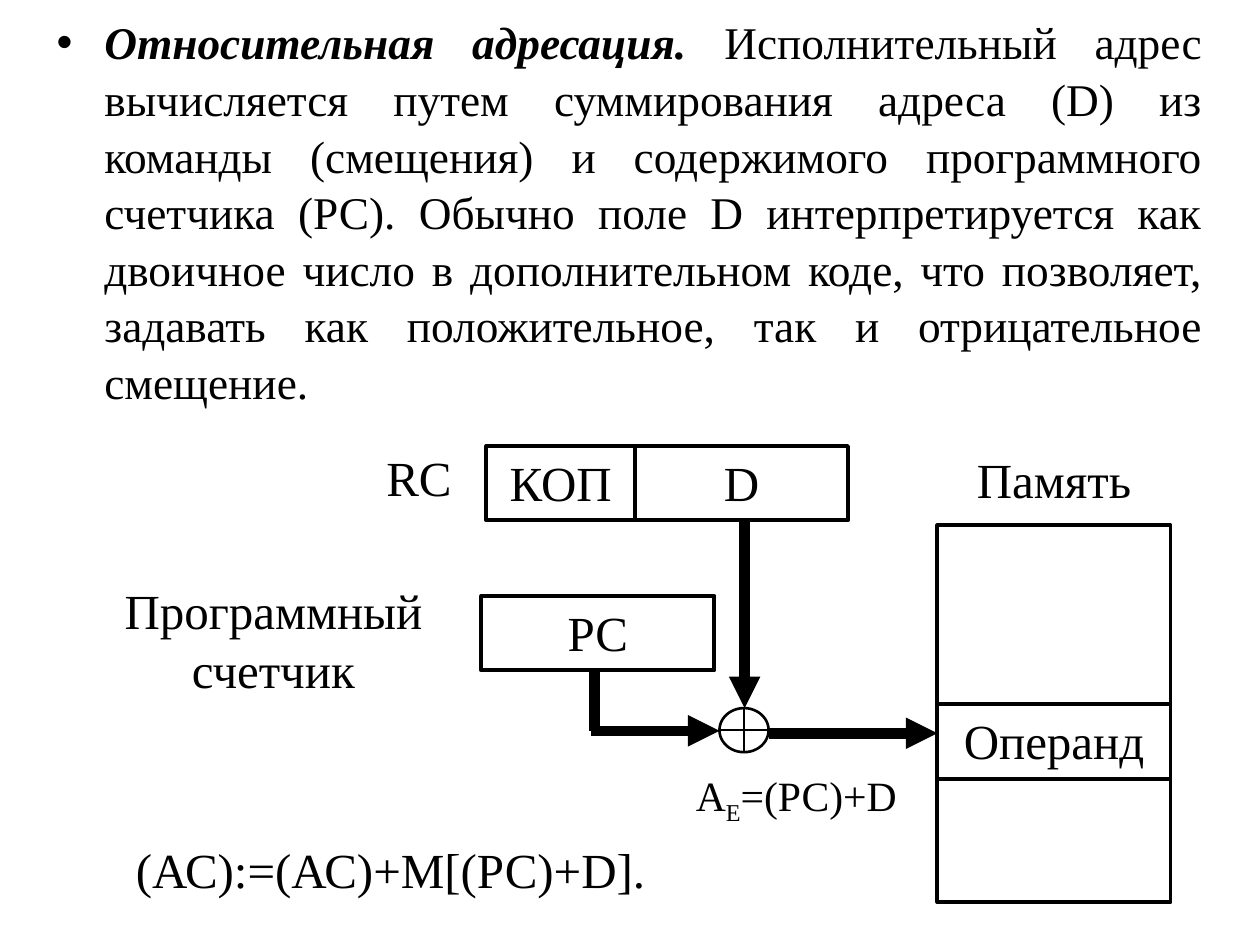
from dataclasses import dataclass

import pptx
import pptx.dml.color
import pptx.enum.shapes
import pptx.enum.text
import pptx.oxml
import pptx.oxml.ns
import pptx.util
from pptx.util import Inches

ALIGN = pptx.enum.text.PP_ALIGN
SHAPE = pptx.enum.shapes.MSO_SHAPE


@dataclass(frozen=True)
class Theme:
    ink: pptx.dml.color.RGBColor = pptx.dml.color.RGBColor(0, 0, 0)
    font: str = "Times New Roman"
    body: float = 25.9
    label: float = 28
    formula: float = 23.8
    border: float = 2.25
    thin: float = 1.5
    arrow: float = 6


THEME = Theme()


def add_xml(parent, tag, **attributes):
    element = pptx.oxml.parse_xml(f"<a:{tag} {pptx.oxml.ns.nsdecls('a')}/>")
    for name, value in attributes.items():
        element.set(name, value)
    parent.append(element)


def write(shape, runs, size, align=ALIGN.CENTER):
    """Fill a shape with one paragraph; return the paragraph and its runs."""
    frame = shape.text_frame
    frame.word_wrap = True
    frame.vertical_anchor = pptx.enum.text.MSO_ANCHOR.TOP
    paragraph = frame.paragraphs[0]
    paragraph.alignment = align
    paragraph.font.name = THEME.font
    paragraph.font.size = pptx.util.Pt(size)
    paragraph.font.color.rgb = THEME.ink
    parts = []
    for text in runs:
        run = paragraph.add_run()
        run.text = text
        parts.append(run)
    return paragraph, parts


def add_label(slide, left, top, width, height, runs, size=THEME.label, align=ALIGN.CENTER):
    shape = slide.shapes.add_textbox(Inches(left), Inches(top), Inches(width), Inches(height))
    return write(shape, runs, size, align)


def add_box(slide, left, top, width, height, text="", kind=SHAPE.RECTANGLE, line=THEME.border):
    shape = slide.shapes.add_shape(kind, Inches(left), Inches(top), Inches(width), Inches(height))
    shape.shadow.inherit = False
    shape.fill.background()
    shape.line.color.rgb = THEME.ink
    shape.line.width = pptx.util.Pt(line)
    if text:
        write(shape, [text], THEME.label)


def add_line(slide, x1, y1, x2, y2, arrow=True):
    connector = slide.shapes.add_connector(
        pptx.enum.shapes.MSO_CONNECTOR.STRAIGHT, Inches(x1), Inches(y1), Inches(x2), Inches(y2))
    connector.line.color.rgb = THEME.ink
    connector.line.width = pptx.util.Pt(THEME.arrow)
    if arrow:
        add_xml(connector.line._get_or_add_ln(), "tailEnd", type="triangle")
    add_xml(connector._element.spPr, "effectLst")


def add_definition(slide, left, top, width, height):
    paragraph, (term, _) = add_label(slide, left, top, width, height, [
        "Относительная адресация.",
        " Исполнительный адрес вычисляется путем суммирования адреса (D) из команды "
        "(смещения) и содержимого программного счетчика (РС). Обычно поле D "
        "интерпретируется как двоичное число в дополнительном коде, что позволяет, "
        "задавать как положительное, так и отрицательное смещение.",
    ], THEME.body, ALIGN.JUSTIFY)
    term.font.bold = term.font.italic = True
    paragraph.line_spacing = 1.04
    # Hanging bullet, placed ahead of the default run properties
    properties = paragraph._p.get_or_add_pPr()
    indent = Inches(0.38)
    properties.set("marL", str(indent))
    properties.set("indent", str(-indent))
    defaults = properties.find(pptx.oxml.ns.qn("a:defRPr"))
    add_xml(properties, "buFont", typeface="Arial")
    add_xml(properties, "buChar", char="•")
    properties.append(defaults)


def add_memory(slide, left, top, width):
    """Heading over a column of three memory cells."""
    add_label(slide, left, top, width, 0.59, ["Память"])
    cell_top = top + 0.65
    for height, text in ((1.42, ""), (0.59, "Операнд"), (0.98, "")):
        add_box(slide, left, cell_top, width, height, text)
        cell_top += height


def add_registers(slide, left, top, row):
    """Command register and program counter with their captions."""
    add_label(slide, left + 2.2, top - 0.04, 0.75, row, ["RC"])
    add_box(slide, left + 3.11, top, 1.18, row, "КОП")
    add_box(slide, left + 4.29, top, 1.69, row, "D")
    add_label(slide, left, top + 1.02, 2.84, 1.06, ["Программный счетчик"])
    add_box(slide, left + 3.07, top + 1.19, 1.85, row, "РС")


def add_adder(slide, left, top, width, height):
    """Adder with its two inputs, its output and the address formula."""
    center = top + 0.18
    add_line(slide, left - 0.99, top - 0.3, left - 0.99, center, arrow=False)
    add_line(slide, left - 1.02, center, left, center)
    add_line(slide, left + 0.2, top - 1.49, left + 0.2, top)
    add_line(slide, left + width, top + 0.2, left + 1.73, top + 0.2)
    add_box(slide, left, top, width, height, kind=SHAPE.FLOWCHART_OR, line=THEME.thin)
    _, (_, index, _) = add_label(slide, left - 0.59, top + 0.44, 2.4, 0.59,
                                 ["А", "Е", "=(РС)+D"], THEME.formula)
    index.font._element.set("baseline", "-25000")


def main():
    presentation = pptx.Presentation()
    presentation.slide_width = Inches(10)
    presentation.slide_height = Inches(7.5)
    slide = presentation.slides.add_slide(presentation.slide_layouts[6])
    add_definition(slide, 0.35, 0.05, 9.29, 3.35)
    add_memory(slide, 7.44, 3.52, 1.85)
    add_registers(slide, 0.75, 3.54, 0.59)
    add_adder(slide, 5.71, 5.62, 0.39, 0.35)
    # Resulting operation
    add_label(slide, 0.98, 6.61, 5.91, 0.57, ["(АС):=(АС)+М[(РС)+D]."], align=ALIGN.LEFT)
    presentation.save("out.pptx")


if __name__ == "__main__":
    main()
